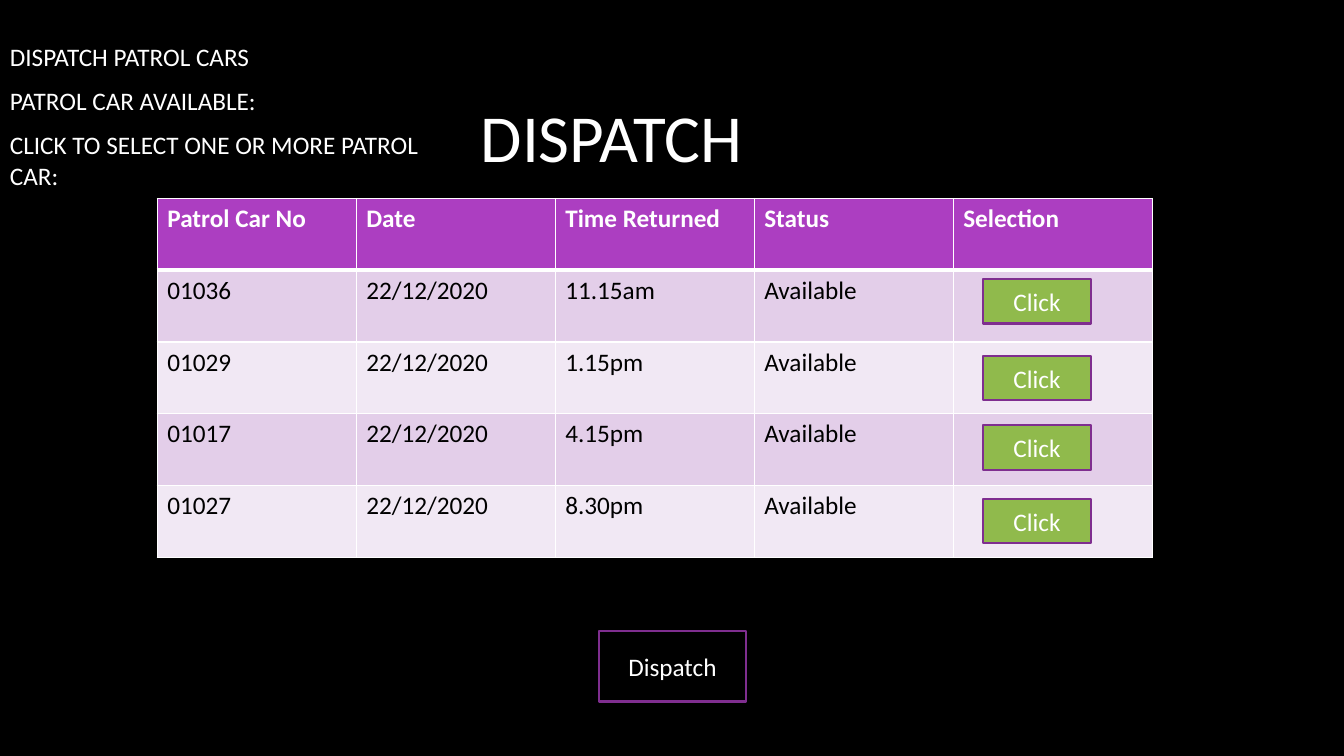
from dataclasses import dataclass

from lxml import etree
from pptx import Presentation
from pptx.dml.color import RGBColor
from pptx.enum.shapes import MSO_SHAPE
from pptx.enum.text import MSO_ANCHOR, PP_ALIGN
from pptx.oxml.ns import qn
from pptx.slide import Slide
from pptx.table import _Cell
from pptx.text.text import TextFrame
from pptx.util import Emu, Pt

PX = 9144  # EMU per px, 100 px to the inch
RECTANGLE = MSO_SHAPE.RECTANGLE
PROCESS = MSO_SHAPE.FLOWCHART_PROCESS
LEFT, CENTER = PP_ALIGN.LEFT, PP_ALIGN.CENTER
TOP, MIDDLE, BOTTOM = MSO_ANCHOR.TOP, MSO_ANCHOR.MIDDLE, MSO_ANCHOR.BOTTOM


@dataclass(frozen=True)
class Theme:
    font: str = "Calibri"
    title_size: int = 48
    body_size: int = 18
    background: str = "000000"
    light: str = "FFFFFF"
    dark: str = "000000"
    header: str = "AC3EC1"
    bands: tuple[str, str] = ("E3CEE9", "F1E8F4")
    button: str = "90BA4C"
    outline: str = "7F2E8F"
    outline_width: float = 1.5
    grid_width: int = 1
    header_rule: int = 3


@dataclass(frozen=True)
class Box:
    left: int
    top: int
    width: int
    height: int

    def emu(self) -> tuple[Emu, ...]:
        return tuple(Emu(n * PX) for n in (self.left, self.top, self.width, self.height))


@dataclass(frozen=True)
class Button:
    label: str
    box: Box
    fill: str
    preset: MSO_SHAPE = RECTANGLE


THEME = Theme()
TITLE_BOX = Box(44, 0, 1125, 180)
INTRO_BOX = Box(0, 36, 446, 154)
TABLE_BOX = Box(156, 197, 987, 356)
INTRO = (
    "DISPATCH PATROL CARS",
    "PATROL CAR AVAILABLE:",
    "CLICK TO SELECT ONE OR MORE PATROL CAR:",
)
HEADINGS = ("Patrol Car No", "Date", "Time Returned", "Status", "Selection")
RETURNS = (("01036", "11.15am"), ("01029", "1.15pm"), ("01017", "4.15pm"), ("01027", "8.30pm"))
ROWS = (HEADINGS, *((car, "22/12/2020", time, "Available", "") for car, time in RETURNS))
BUTTONS = (
    *(Button("Click", Box(975, top, 107, 44), THEME.button) for top in (277, 353, 422, 495)),
    Button("Dispatch", Box(594, 626, 146, 70), THEME.background, PROCESS),
)


def rgb(color: str) -> RGBColor:
    return RGBColor.from_string(color)


def write(tf: TextFrame, lines: tuple[str, ...], size: int = THEME.body_size,
          color: str = THEME.light, align: PP_ALIGN = LEFT, bold: bool = False,
          space_after: int = 0) -> None:
    tf.word_wrap = True
    for i, line in enumerate(lines):
        p = tf.add_paragraph() if i else tf.paragraphs[0]
        p.text = line
        p.alignment = align
        p.space_after = Pt(space_after)
        p.font.name = THEME.font
        p.font.size = Pt(size)
        p.font.bold = bold
        p.font.color.rgb = rgb(color)


def add_text(slide: Slide, box: Box, lines: tuple[str, ...], anchor: MSO_ANCHOR,
             **style) -> None:
    tf = slide.shapes.add_textbox(*box.emu()).text_frame
    write(tf, lines, **style)
    tf.vertical_anchor = anchor


def add_borders(cell: _Cell, top: int, bottom: int) -> None:
    """Draw the four cell edges; call before filling, as the schema puts lines first."""
    tc_pr = cell._tc.get_or_add_tcPr()
    side = THEME.grid_width
    for tag, width in (("lnL", side), ("lnR", side), ("lnT", top), ("lnB", bottom)):
        ln = etree.SubElement(tc_pr, qn(f"a:{tag}"), w=str(Pt(width)))
        fill = etree.SubElement(ln, qn("a:solidFill"))
        etree.SubElement(fill, qn("a:srgbClr"), val=THEME.light)


def add_patrol_table(slide: Slide) -> None:
    table = slide.shapes.add_table(len(ROWS), len(HEADINGS), *TABLE_BOX.emu()).table
    for r, values in enumerate(ROWS):
        is_header = r == 0
        fill = THEME.header if is_header else THEME.bands[(r - 1) % 2]
        top = THEME.header_rule if r == 1 else THEME.grid_width
        bottom = THEME.header_rule if is_header else THEME.grid_width
        for c, value in enumerate(values):
            cell = table.cell(r, c)
            add_borders(cell, top, bottom)
            cell.fill.solid()
            cell.fill.fore_color.rgb = rgb(fill)
            write(cell.text_frame, (value,), bold=is_header,
                  color=THEME.light if is_header else THEME.dark)


def add_button(slide: Slide, button: Button) -> None:
    sp = slide.shapes.add_shape(button.preset, *button.box.emu())
    sp.shadow.inherit = False
    sp.fill.solid()
    sp.fill.fore_color.rgb = rgb(button.fill)
    sp.line.color.rgb = rgb(THEME.outline)
    sp.line.width = Pt(THEME.outline_width)
    write(sp.text_frame, (button.label,), align=CENTER)
    sp.text_frame.vertical_anchor = MIDDLE


def main() -> None:
    prs = Presentation()
    prs.slide_width, prs.slide_height = Emu(1333 * PX), Emu(750 * PX)
    slide = prs.slides.add_slide(prs.slide_layouts[6])
    slide.background.fill.solid()
    slide.background.fill.fore_color.rgb = rgb(THEME.background)

    add_text(slide, TITLE_BOX, ("DISPATCH",), BOTTOM, size=THEME.title_size, align=CENTER)
    add_text(slide, INTRO_BOX, INTRO, TOP, space_after=10)
    add_patrol_table(slide)
    for button in BUTTONS:
        add_button(slide, button)
    prs.save("out.pptx")


if __name__ == "__main__":
    main()
